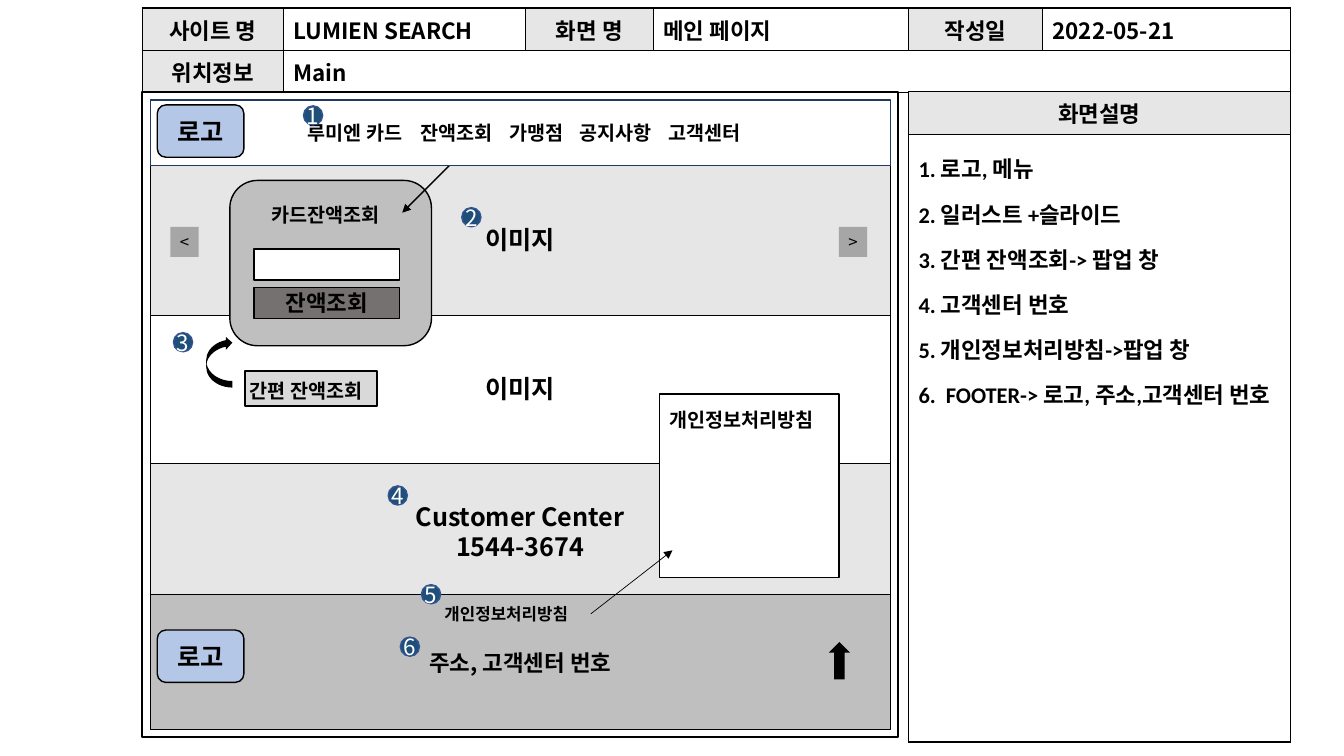
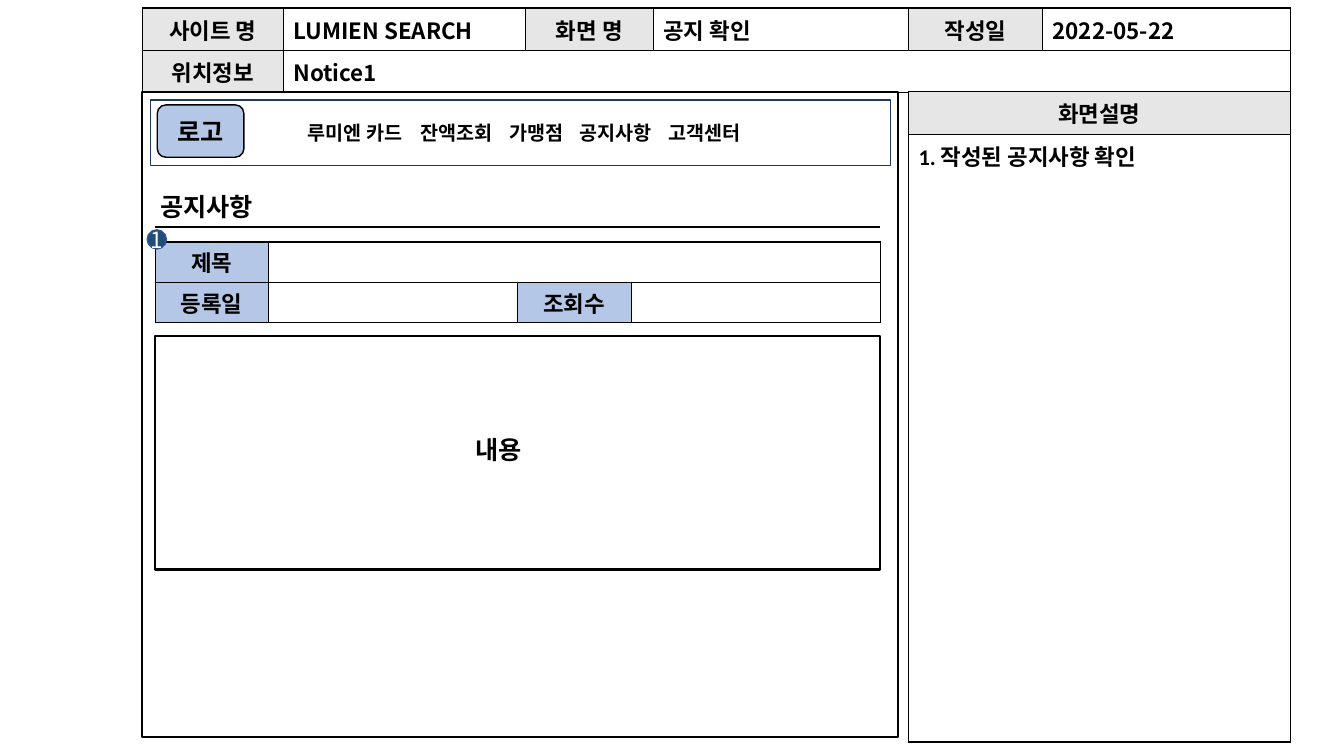
from lxml import etree
from pptx import Presentation
from pptx import util as u
from pptx.dml.color import RGBColor
from pptx.enum import shapes, text
from pptx.oxml import ns

# Content
SITE = "LUMIEN SEARCH"
MENU = ["루미엔 카드", "잔액조회", "가맹점", "공지사항", "고객센터"]
LOGO = "로고"
MAIN = {
    "screen": "메인 페이지", "date": "2022-05-21", "place": "Main",
    "notes": ["1. 로고, 메뉴", "2. 일러스트 +슬라이드", "3. 간편 잔액조회-> 팝업 창",
              "4. 고객센터 번호", "5. 개인정보처리방침->팝업 창 ",
              "6.  FOOTER-> 로고, 주소,고객센터 번호"],
    "spacing": 1.4,
}
NOTICE = {
    "screen": "공지 확인", "date": "2022-05-22", "place": "Notice1",
    "notes": ["1. 작성된 공지사항 확인"], "spacing": 1.0,
}
# Page sections: text, top, height, fill, text size
SECTIONS = [
    ("이미지", 3.1, 1.5, "white", 18),
    ("이미지", 1.63, 1.5, "pale", 18),
    ("Customer Center\n1544-3674", 4.6, 1.34, "pale", 18),
    ("주소, 고객센터 번호", 5.9, 1.34, "silver", 16),
]
MAIN_BADGES = [(3.01, 1.05), (4.58, 2.06), (1.72, 3.3),
               (3.85, 4.82), (4.18, 5.8), (3.97, 6.32)]
NOTICE_BADGES = [(1.46, 2.28)]
POST = [["제목", "", "", ""], ["등록일", "", "조회수", ""]]

# Shared style and grid, in inches
COLORS = {"black": "000000", "white": "FFFFFF", "pale": "E7E6E6", "light": "D9D9D9",
          "silver": "BFBFBF", "gray": "A6A6A6", "dark": "767171", "blue": "B4C7E7",
          "navy": "203864", "badge": "1F4E79", "badge_edge": "325491"}
FONT, NOTES_FONT = "Noto Sans CJK KR", "Calibri"
SLIDE_W, SLIDE_H = 13.33, 7.5
FRAME = (1.41, 0.91, 7.5, 6.4)
BAND_X, BAND_W = 1.49, 7.34
LOGO_X, LOGO_SIZE = 1.56, (0.86, 0.52)
POST_X, POST_W = 1.54, 7.19
INFO_COLS = [1.4, 2.4, 1.27, 2.53, 1.33, 2.46]
POST_COLS = [1.12, 2.47, 1.13, 2.47]
MENU_INDENT, MENU_TABS = 1.56, [1.12, 2.0, 2.7, 3.58]
BADGE = 0.19
ALIGN = {"l": text.PP_ALIGN.LEFT, "c": text.PP_ALIGN.CENTER}
ANCHOR = {"t": text.MSO_ANCHOR.TOP, "m": text.MSO_ANCHOR.MIDDLE}
Preset = shapes.MSO_SHAPE


def rgb(name):
    return RGBColor.from_string(COLORS[name])


def inches(lengths):
    return [u.Inches(length) for length in lengths]


def write(frame, words, size=16, color="black", bold=True, font=FONT, align="c",
          spacing=None, tabs=()):
    for i, line in enumerate(words.split("\n")):
        para = frame.paragraphs[0] if i == 0 else frame.add_paragraph()
        para.alignment = ALIGN[align]
        if spacing:
            para.line_spacing = spacing
        if tabs:
            tab_list = etree.SubElement(para._p.get_or_add_pPr(), ns.qn("a:tabLst"))
            for stop in tabs:
                etree.SubElement(tab_list, ns.qn("a:tab"), pos=str(u.Inches(stop)), algn="l")
        run = para.add_run()
        run.text = line
        run.font.size, run.font.bold, run.font.name = u.Pt(size), bold, font
        run.font.color.rgb = rgb(color)
        etree.SubElement(run._r.get_or_add_rPr(), ns.qn("a:ea"), typeface=FONT)


def block(slide, at, words="", preset=Preset.RECTANGLE, fill=None, edge="black",
          weight=1, anchor="m", wrap=True, inset=None, turn=0, **style):
    shape = slide.shapes.add_shape(preset, *inches(at))
    shape.shadow.inherit = False
    shape.rotation = turn
    if fill:
        shape.fill.solid()
        shape.fill.fore_color.rgb = rgb(fill)
    else:
        shape.fill.background()
    if edge:
        shape.line.color.rgb = rgb(edge)
        shape.line.width = u.Pt(weight)
    else:
        shape.line.fill.background()
    if words:
        frame = shape.text_frame
        frame.word_wrap, frame.vertical_anchor = wrap, ANCHOR[anchor]
        if inset is not None:
            frame.margin_left = u.Inches(inset)
            if inset == 0:
                frame.margin_right = frame.margin_top = frame.margin_bottom = 0
        write(frame, words, **style)


def label(slide, at, words, size=14):
    frame = slide.shapes.add_textbox(*inches(at)).text_frame
    frame.word_wrap = False
    write(frame, words, size=size, align="l")


def line(slide, start, end, weight=1, arrow=False):
    link = slide.shapes.add_connector(shapes.MSO_CONNECTOR.STRAIGHT, *inches(start + end))
    link.line.color.rgb = rgb("black")
    link.line.width = u.Pt(weight)
    if arrow:
        etree.SubElement(link.line._get_or_add_ln(), ns.qn("a:tailEnd"), type="triangle")
    etree.SubElement(link._element.spPr, ns.qn("a:effectLst"))


def border(cell):
    props = cell._tc.get_or_add_tcPr()
    for place, side in enumerate(("lnL", "lnR", "lnT", "lnB")):
        edge = etree.Element(ns.qn("a:" + side), w=str(u.Pt(1)))
        fill = etree.SubElement(edge, ns.qn("a:solidFill"))
        etree.SubElement(fill, ns.qn("a:srgbClr"), val=COLORS["black"])
        props.insert(place, edge)


def grid(slide, corner, cols, rows, cells, headings, tint, merge=None, pad=0.05,
         anchor="m", **style):
    size = (sum(cols), sum(rows))
    table = slide.shapes.add_table(len(rows), len(cols), *inches(corner + size)).table
    table.first_row = table.horz_banding = False
    for column, width in zip(table.columns, inches(cols)):
        column.width = width
    for row, height in zip(table.rows, inches(rows)):
        row.height = height
    for r, texts in enumerate(cells):
        for c, words in enumerate(texts):
            cell = table.cell(r, c)
            heading = words in headings
            cell.fill.solid()
            cell.fill.fore_color.rgb = rgb(tint if heading else "white")
            cell.margin_top = cell.margin_bottom = u.Inches(pad)
            cell.vertical_anchor = ANCHOR["m" if heading else anchor]
            border(cell)
            if heading:
                write(cell.text_frame, words)
            elif words:
                write(cell.text_frame, words, align="l", **style)
    if merge:
        row, first, last = merge
        table.cell(row, first).merge(table.cell(row, last))


def tables_and_frame(slide, page):
    info = [["사이트 명", SITE, "화면 명", page["screen"], "작성일", page["date"]],
            ["위치정보", page["place"], "", "", "", ""]]
    grid(slide, (1.41, 0.08), INFO_COLS, [0.41, 0.41], info,
         {"사이트 명", "화면 명", "작성일", "위치정보"}, "pale", merge=(1, 1, 5))
    grid(slide, (9.01, 0.91), [3.79], [0.41, 6.03],
         [["화면설명"], ["\n".join(page["notes"])]], {"화면설명"}, "pale",
         anchor="t", font=NOTES_FONT, spacing=page["spacing"])
    block(slide, FRAME, weight=1.5)


def logo(slide, top):
    block(slide, (LOGO_X, top) + LOGO_SIZE, LOGO, Preset.ROUNDED_RECTANGLE,
          fill="blue", size=18)


def menu_bar(slide):
    block(slide, (BAND_X, 0.99, BAND_W, 0.65), "\t".join(MENU), fill="white",
          edge="navy", inset=MENU_INDENT, size=14, align="l", tabs=MENU_TABS)
    logo(slide, 1.04)


def badges(slide, corners):
    for number, corner in enumerate(corners, 1):
        block(slide, corner + (BADGE, BADGE), str(number), Preset.FLOWCHART_CONNECTOR,
              fill="badge", edge="badge_edge", wrap=False, inset=0,
              color="white", bold=False)


deck = Presentation()
deck.slide_width, deck.slide_height = inches((SLIDE_W, SLIDE_H))
title_only, blank = deck.slide_layouts[5], deck.slide_layouts[6]

# Main page
main = deck.slides.add_slide(blank)
tables_and_frame(main, MAIN)
for words, top, height, fill, size in SECTIONS:
    block(main, (BAND_X, top, BAND_W, height), words, fill=fill, size=size)
for arrow, left in (("<", 1.69), (">", 8.32)):
    block(main, (left, 2.25, 0.28, 0.3), arrow, fill="gray", edge=None,
          wrap=False, anchor="t", size=12, bold=False)

# Balance popup and its button
block(main, (2.28, 1.79, 2, 1.64), preset=Preset.ROUNDED_RECTANGLE, fill="silver")
label(main, (2.59, 1.96, 1.38, 0.34), "카드잔액조회")
for words, top, fill in (("", 2.47, "white"), ("잔액조회", 2.85, "dark")):
    block(main, (2.52, top, 1.44, 0.31), words, fill=fill)
line(main, (4.64, 1.46), (3.99, 2.11), arrow=True)
block(main, (2.43, 3.68, 1.31, 0.35), fill="light")
label(main, (2.38, 3.71, 1.61, 0.34), "간편 잔액조회")
block(main, (1.92, 3.46, 0.51, 0.26), preset=Preset.CURVED_DOWN_ARROW,
      fill="black", edge=None, turn=270)

# Privacy popup and footer
label(main, (4.31, 5.94, 1.55, 0.3), "개인정보처리방침", size=12)
block(main, (8.22, 6.37, 0.21, 0.37), preset=Preset.UP_ARROW, fill="black", edge=None)
block(main, (6.54, 3.91, 1.78, 1.82), fill="white")
label(main, (6.54, 4, 1.77, 0.34), "개인정보처리방침")
line(main, (5.86, 6.09), (6.67, 5.46), weight=0.5, arrow=True)
logo(main, 6.25)
menu_bar(main)
badges(main, MAIN_BADGES)

# Notice page
notice = deck.slides.add_slide(title_only)
tables_and_frame(notice, NOTICE)
heading = notice.shapes.title
heading.left, heading.top, heading.width, heading.height = inches((BAND_X, 1.85, 1.21, 0.4))
heading.text_frame.auto_size = text.MSO_AUTO_SIZE.NONE
heading.text_frame.word_wrap = False
heading.text_frame.vertical_anchor = ANCHOR["t"]
write(heading.text_frame, "공지사항", size=18, align="l")
line(notice, (POST_X, 2.25), (POST_X + POST_W, 2.25), weight=1.5)
grid(notice, (POST_X, 2.4), POST_COLS, [0.4, 0.4], POST,
     {"제목", "등록일", "조회수"}, "blue", merge=(0, 1, 3), pad=0.04)
block(notice, (POST_X, 3.33, POST_W, 2.32), fill="white", weight=1.5)
label(notice, (4.62, 4.26, 0.71, 0.4), "내용", size=18)
menu_bar(notice)
badges(notice, NOTICE_BADGES)

deck.save("out.pptx")
